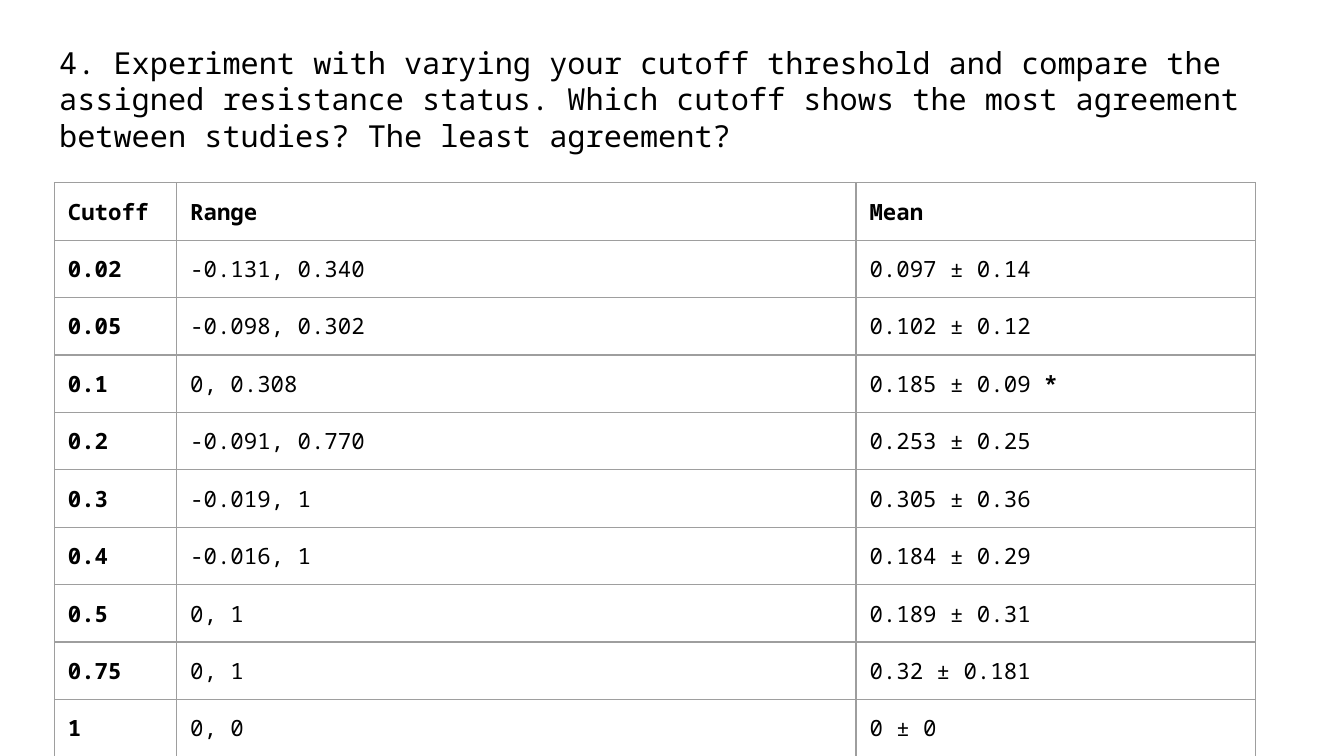
from lxml.etree import SubElement
from pptx import Presentation
from pptx.dml.color import RGBColor
from pptx.enum.text import MSO_ANCHOR, MSO_AUTO_SIZE, PP_ALIGN
from pptx.oxml.ns import qn
from pptx.util import Inches, Pt

BLACK = RGBColor(0x00, 0x00, 0x00)
GRAY = RGBColor(0x9E, 0x9E, 0x9E)
WHITE = RGBColor(0xFF, 0xFF, 0xFF)

GRID_COLUMNS = 100
GRID_ROWS = 56.25

QUESTION = (
    "4. Experiment with varying your cutoff threshold and compare the assigned "
    "resistance status. Which cutoff shows the most agreement between studies? "
    "The least agreement?"
)
CUTOFF_RESULTS = [
    ("Cutoff", "Range", "Mean"),
    ("0.02", "-0.131, 0.340", "0.097 ± 0.14"),
    ("0.05", "-0.098, 0.302", "0.102 ± 0.12"),
    ("0.1", "0, 0.308", "0.185 ± 0.09 *"),
    ("0.2", "-0.091, 0.770", "0.253 ± 0.25"),
    ("0.3", "-0.019, 1", "0.305 ± 0.36"),
    ("0.4", "-0.016, 1", "0.184 ± 0.29"),
    ("0.5", "0, 1", "0.189 ± 0.31"),
    ("0.75", "0, 1", "0.32 ± 0.181"),
    ("1", "0, 0", "0 ± 0"),
]
CUTOFF_COLUMNS = (9.1, 50.55, 29.7)


def apply(target, values):
    for name, value in values.items():
        setattr(target, name, value)


class SlideBuilder:
    font_name = "Noto Sans Mono"
    title_size = Pt(16.2)
    table_size = Pt(12)
    border_width = Pt(0.75)
    padding = Inches(0.1)

    def __init__(self, presentation):
        self.column = presentation.slide_width / GRID_COLUMNS
        self.row = presentation.slide_height / GRID_ROWS
        self.slide = presentation.slides.add_slide(presentation.slide_layouts[5])
        background = self.slide.background.fill
        background.solid()
        background.fore_color.rgb = WHITE

    def place(self, left, top, width, height):
        return (round(left * self.column), round(top * self.row),
                round(width * self.column), round(height * self.row))

    def margins(self):
        return {f"margin_{side}": self.padding
                for side in ("left", "top", "right", "bottom")}

    def run(self, paragraph, text, size, bold=False):
        run = paragraph.add_run()
        run.text = text
        apply(run.font, {"name": self.font_name, "size": size, "bold": bold})
        run.font.color.rgb = BLACK

    def title(self, text, *box):
        title = self.slide.shapes.title
        apply(title, dict(zip(("left", "top", "width", "height"), self.place(*box))))
        apply(title.text_frame, self.margins() | {
            "word_wrap": True,
            "auto_size": MSO_AUTO_SIZE.NONE,
            "vertical_anchor": MSO_ANCHOR.TOP,
        })
        paragraph = title.text_frame.paragraphs[0]
        apply(paragraph, {"alignment": PP_ALIGN.LEFT, "line_spacing": 1.0})
        self.run(paragraph, text, self.title_size)

    def borders(self, cell):
        properties = cell._tc.get_or_add_tcPr()
        for position, side in enumerate(("lnL", "lnR", "lnT", "lnB")):
            line = SubElement(properties, qn(f"a:{side}"), w=str(self.border_width))
            fill = SubElement(line, qn("a:solidFill"))
            SubElement(fill, qn("a:srgbClr"), val=str(GRAY))
            properties.insert(position, line)

    def cell(self, cell, text, bold):
        apply(cell, self.margins() | {"vertical_anchor": MSO_ANCHOR.TOP})
        cell.fill.background()
        self.borders(cell)
        paragraph = cell.text_frame.paragraphs[0]
        value, star, _ = text.partition("*")
        self.run(paragraph, value, self.table_size, bold)
        if star:
            self.run(paragraph, star, self.table_size, True)

    def table(self, records, left, top, widths, row_height):
        box = self.place(left, top, sum(widths), row_height * len(records))
        table = self.slide.shapes.add_table(len(records), len(widths), *box).table
        apply(table, {"first_row": False, "horz_banding": False})
        for column, width in zip(table.columns, widths):
            column.width = round(width * self.column)
        for r, record in enumerate(records):
            table.rows[r].height = round(row_height * self.row)
            for c, text in enumerate(record):
                self.cell(table.cell(r, c), text, r == 0 or c == 0)


def main():
    presentation = Presentation()
    width = Inches(10)
    apply(presentation, {"slide_width": width, "slide_height": width * 9 // 16})
    builder = SlideBuilder(presentation)
    builder.title(QUESTION, 3.4, 2.3, 93.2, 6.3)
    builder.table(CUTOFF_RESULTS, 4.05, 13.6, CUTOFF_COLUMNS, 3.5)
    presentation.save("out.pptx")


if __name__ == "__main__":
    main()
